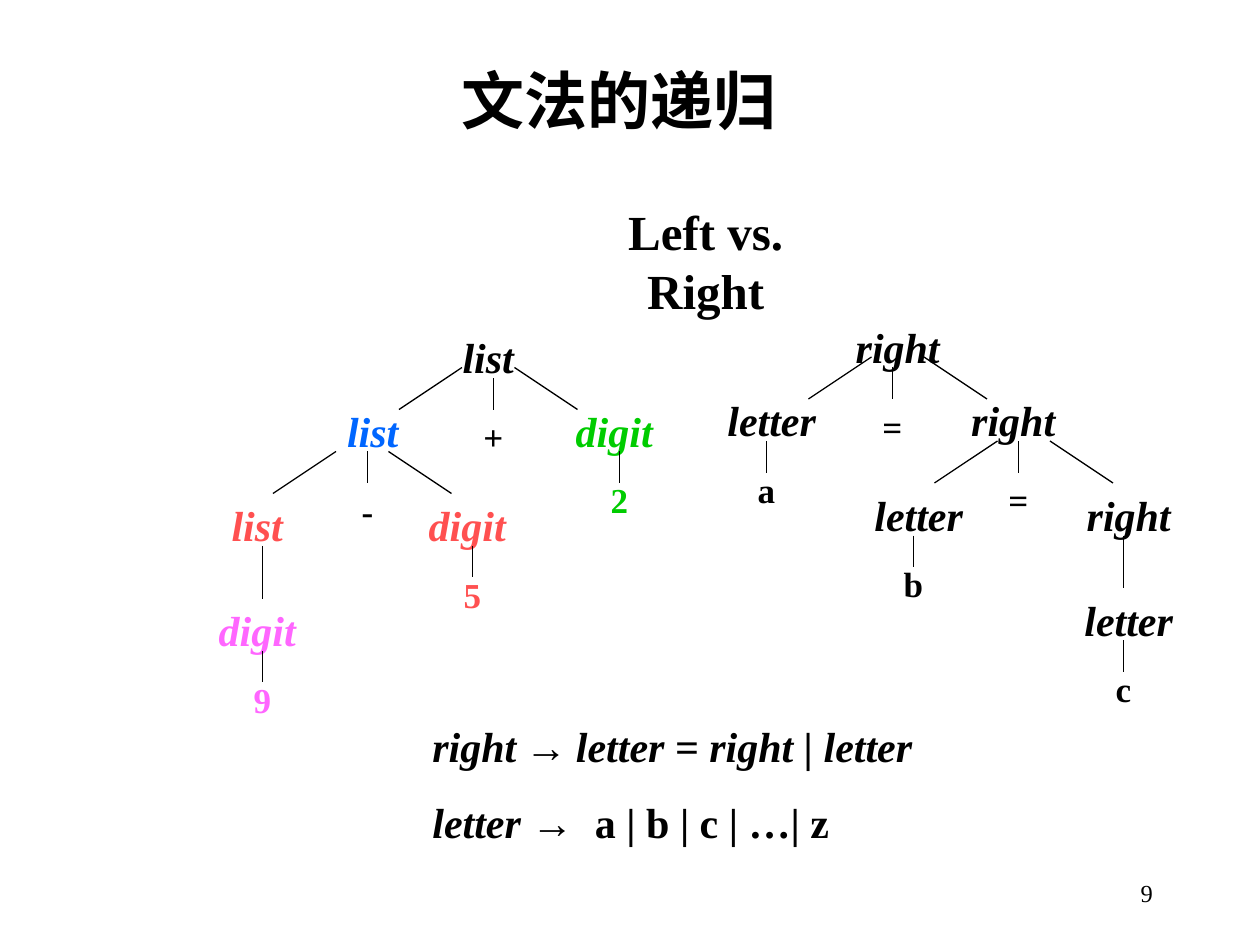
from dataclasses import dataclass
from lxml.etree import SubElement
from pptx import Presentation
from pptx.dml.color import RGBColor as Rgb
from pptx.enum.shapes import MSO_CONNECTOR as Connector
from pptx.enum.text import MSO_ANCHOR as Anchor, MSO_AUTO_SIZE as Fit, PP_ALIGN as Align
from pptx.oxml.ns import qn
from pptx.slide import Slide
from pptx.util import Inches, Pt

BLACK = Rgb(0, 0, 0)
GREEN = Rgb(0x00, 0xCC, 0x00)
BLUE = Rgb(0x00, 0x66, 0xFF)
RED = Rgb(0xFF, 0x50, 0x50)
PINK = Rgb(0xFF, 0x66, 0xFF)
SERIF, SANS = "Times New Roman", "Arial"


def cells(count):
    """Turn a count of grid cells, twelve to the inch, into a length."""
    return Inches(count / 12)


@dataclass
class TreeSlide:
    """Holds the slide, its text style and the drawing methods."""

    page: Slide
    word_size: int = 24
    token_size: int = 20

    def span(self, para, text, size, font=SERIF, color=BLACK, bold=True, italic=False):
        """Add one formatted run."""
        run = para.add_run()
        run.text = text
        run.font.name, run.font.size = font, Pt(size)
        run.font.bold, run.font.italic = bold, italic
        run.font.color.rgb = color

    def title(self, text, left, top, width, height):
        """Move and fill the title placeholder."""
        box = self.page.shapes.title
        box.left, box.top, box.width, box.height = map(cells, (left, top, width, height))
        frame = box.text_frame
        frame.vertical_anchor, frame.auto_size = Anchor.MIDDLE, Fit.NONE
        para = frame.paragraphs[0]
        para.alignment = Align.CENTER
        self.span(para, text, 36, SANS)

    def frame(self, left, top, width, height, wrap=True, fit=Fit.SHAPE_TO_FIT_TEXT):
        """Add an empty text box and return its frame."""
        box = self.page.shapes.add_textbox(*map(cells, (left, top, width, height)))
        box.text_frame.word_wrap, box.text_frame.auto_size = wrap, fit
        return box.text_frame

    def label(self, text, area, size, align=Align.CENTER, wrap=True, **style):
        """Add a box with one line of text."""
        para = self.frame(*area, wrap=wrap).paragraphs[0]
        para.alignment = align
        self.span(para, text, size, **style)

    def word(self, text, column, row, color=BLACK):
        """Add a nonterminal."""
        self.label(text, (column, row, 11, 6), self.word_size, color=color, italic=True)

    def token(self, text, stem, row, color=BLACK):
        """Add a terminal centred under a stem."""
        self.label(text, (stem - 3, row, 6, 5.25), self.token_size, color=color)

    def edge(self, start_column, start_row, end_column, end_row):
        """Draw one thin line of the tree."""
        ends = map(cells, (start_column, start_row, end_column, end_row))
        line = self.page.shapes.add_connector(Connector.STRAIGHT, *ends)
        line.line.color.rgb, line.line.width = BLACK, Pt(0.75)
        SubElement(line._element.spPr, qn("a:effectLst"))

    def branch(self, stem, row, stem_row, operator, side):
        """Draw three edges, wider on the recursive side, and the operator."""
        self.edge(stem + 3 * side, row, stem + 9 * side, row + 4)
        self.edge(stem - 2 * side, row, stem - 8 * side, row + 4)
        self.edge(stem, stem_row, stem, stem_row + 3)
        self.token(operator, stem, stem_row + 3)

    def tree(self, words, leaves, branches, chain, stem_offset, side):
        """Draw a whole parse tree."""
        for word in words:
            self.word(*word)
        for text, token, column, row, color in leaves:
            stem = column + stem_offset
            self.word(text, column, row, color)
            self.edge(stem, row + 5, stem, row + 8)
            self.token(token, stem, row + 7, color)
        for branch in branches:
            self.branch(*branch, side)
        column, row = chain
        self.edge(column, row, column, row + 5)

    def grammar(self, area):
        """Add the two production rules."""
        frame = self.frame(*area)
        first, second = frame.paragraphs[0], frame.add_paragraph()
        size, small = self.word_size, self.token_size
        self.span(first, "right", size, italic=True)
        self.span(first, " ", small)
        self.span(first, "→", size, SANS)
        self.span(first, " ", small)
        self.span(first, "letter = right | letter", size, italic=True)
        second.space_before = Pt(15)
        stops = SubElement(second._p.get_or_add_pPr(), qn("a:tabLst"))
        SubElement(stops, qn("a:tab"), pos=str(Inches(1.29)), algn="l")
        self.span(second, "letter ", size, italic=True)
        self.span(second, "→", size, SANS)
        self.span(second, "\ta | b | c | …| z", size)

    def number(self, text, area):
        """Add the page number."""
        frame = self.frame(*area, fit=Fit.NONE)
        frame.vertical_anchor = Anchor.MIDDLE
        para = frame.paragraphs[0]
        para.alignment = Align.RIGHT
        self.span(para, text, 14, bold=False)


def main():
    """Build and save the slide."""
    deck = Presentation()
    deck.slide_width, deck.slide_height = cells(120), cells(90)
    slide = TreeSlide(deck.slides.add_slide(deck.slide_layouts[5]))
    slide.title("文法的递归", 8, 2, 102, 15)
    slide.label("Left vs. Right", (52.5, 18.6, 29.4, 6.8), 28, wrap=False)
    slide.tree(
        words=[("right", 80, 30), ("right", 91, 37), ("right", 102, 46)],
        leaves=[
            ("letter", "a", 68, 37, BLACK),
            ("letter", "b", 82, 46, BLACK),
            ("letter", "c", 102, 56, BLACK),
        ],
        branches=[(85, 34, 35, "="), (97, 42, 42, "=")],
        chain=(107, 51), stem_offset=5, side=1,
    )
    slide.grammar((40, 68, 54, 13.3))
    slide.tree(
        words=[("list", 41, 31), ("list", 30, 38, BLUE), ("list", 19, 47, RED)],
        leaves=[
            ("digit", "2", 53, 38, GREEN),
            ("digit", "5", 39, 47, RED),
            ("digit", "9", 19, 57, PINK),
        ],
        branches=[(47, 35, 36, "+"), (35, 43, 43, "-")],
        chain=(25, 52), stem_offset=6, side=-1,
    )
    slide.number("9", (86, 82, 25, 6))
    deck.save("out.pptx")


if __name__ == "__main__":
    main()
